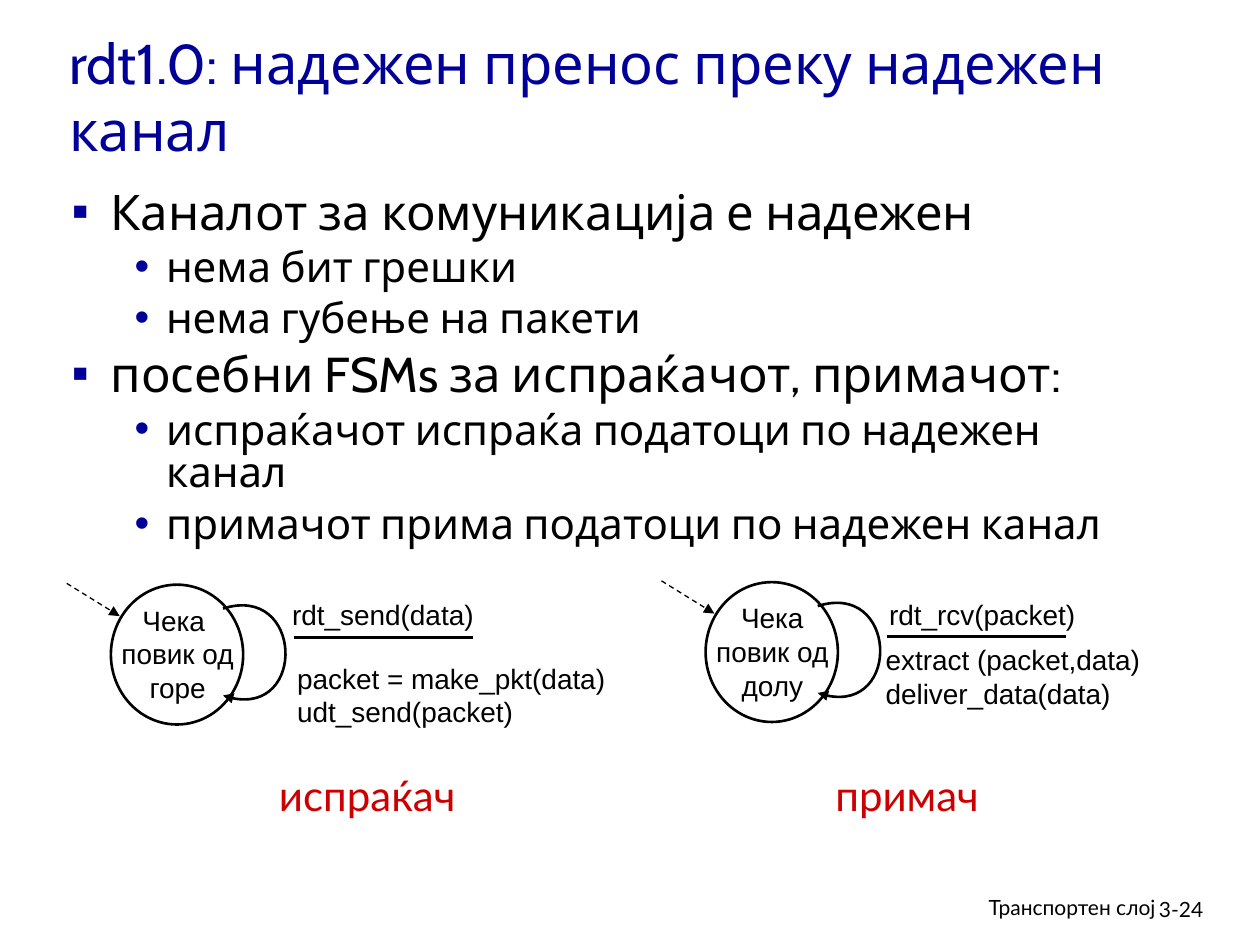
"""Build the rdt1.0 slide with its sender and receiver state machines."""
import lxml.etree
import pptx
import pptx.dml.color
import pptx.enum.dml
import pptx.enum.shapes
import pptx.enum.text
import pptx.oxml.ns
import pptx.util

PX = 9144
ALIGN = pptx.enum.text.PP_ALIGN
qn = pptx.oxml.ns.qn
colour = pptx.dml.color.RGBColor.from_string

presentation = pptx.Presentation()
presentation.slide_width = 1000 * PX
presentation.slide_height = 750 * PX
slide = presentation.slides.add_slide(presentation.slide_layouts[6])
shapes = slide.shapes

FORMATS = {
    "title": {"name": "Cabin", "size": 32, "colour": "000099"},
    "topic": {"name": "Cabin", "size": 28, "colour": "000000"},
    "detail": {"name": "Cabin", "size": 24, "colour": "000000"},
    "code": {"name": "Arial", "size": 16, "colour": "000000"},
    "role": {"name": "Lato", "size": 24, "colour": "CC0000"},
    "footer": {"name": "Lato", "size": 12, "colour": "000000"},
}
BULLETS = {"topic": ("▪", 31, -31, 0), "detail": ("•", 75, -25, 1)}


def add_text(box, lines, align=ALIGN.LEFT, wrap=True, anchor=pptx.enum.text.MSO_ANCHOR.TOP):
    """Add a text box whose lines are (format name, text) pairs."""
    frame = shapes.add_textbox(*(length * PX for length in box)).text_frame
    frame.word_wrap = wrap
    frame.vertical_anchor = anchor
    for index, (format_name, text) in enumerate(lines):
        paragraph = frame.add_paragraph() if index else frame.paragraphs[0]
        paragraph.alignment = align
        run = paragraph.add_run()
        run.text = text
        values = FORMATS[format_name]
        settings = {"name": values["name"], "size": pptx.util.Pt(values["size"])}
        for attribute, value in settings.items():
            setattr(run.font, attribute, value)
        run.font.color.rgb = colour(values["colour"])
        if format_name in BULLETS:
            character, margin, indent, level = BULLETS[format_name]
            spacing = {"level": level, "line_spacing": 0.85,
                       "space_before": pptx.util.Pt(values["size"] * 0.2)}
            for attribute, value in spacing.items():
                setattr(paragraph, attribute, value)
            properties = paragraph._p.get_or_add_pPr()
            properties.set("marL", str(margin * PX))
            properties.set("indent", str(indent * PX))
            bullet_colour = lxml.etree.SubElement(properties, qn("a:buClr"))
            lxml.etree.SubElement(bullet_colour, qn("a:srgbClr"), val="000099")
            lxml.etree.SubElement(properties, qn("a:buFont"), typeface="Arial")
            lxml.etree.SubElement(properties, qn("a:buChar"), char=character)


def style_line(shape, width=1.5, dashed=False, arrow=False):
    """Give a shape or connector a black line without shadow."""
    shape.line.color.rgb = colour("000000")
    shape.line.width = pptx.util.Pt(width)
    if dashed:
        shape.line.dash_style = pptx.enum.dml.MSO_LINE.DASH
    if arrow:
        lxml.etree.SubElement(shape.line._get_or_add_ln(), qn("a:tailEnd"), type="triangle")
    if hasattr(shape, "shadow"):
        shape.shadow.inherit = False
    else:
        lxml.etree.SubElement(shape._element.spPr, qn("a:effectLst"))


add_text((910, 707, 74, 30), [("footer", "3-24")])
add_text((45, 21, 920, 110), [("title", "rdt1.0: надежен пренос преку надежен канал")],
         anchor=pptx.enum.text.MSO_ANCHOR.MIDDLE)
add_text((47, 146, 864, 330), [
    ("topic", "Каналот за комуникација е надежен"),
    ("detail", "нема бит грешки"),
    ("detail", "нема губење на пакети"),
    ("topic", "посебни FSMs за испраќачот, примачот:"),
    ("detail", "испраќачот испраќа податоци по надежен канал"),
    ("detail", "примачот прима податоци по надежен канал"),
])

MACHINES = [
    {"left": 88, "top": 464, "state": ["Чека ", "повик од", "горе"], "rule": (233, 506),
     "event": "rdt_send(data)", "event_box": (222, 469, 247, 47), "event_align": ALIGN.LEFT,
     "actions": ["packet = make_pkt(data)", "udt_send(packet)"], "action_box": (226, 520, 293, 65),
     "role": "испраќач", "role_box": (210, 606, 163, 51)},
    {"left": 560, "top": 462, "state": ["Чека", "повик од долу"], "rule": (704, 505),
     "event": "rdt_rcv(packet)", "event_box": (695, 469, 169, 37), "event_align": ALIGN.CENTER,
     "actions": ["extract (packet,data)", "deliver_data(data)"], "action_box": (693, 505, 272, 47),
     "role": "примач", "role_box": (653, 606, 134, 51)},
]
for machine in MACHINES:
    left, top = machine["left"], machine["top"]
    circle = shapes.add_shape(pptx.enum.shapes.MSO_SHAPE.OVAL,
                              left * PX, top * PX, 105 * PX, 111 * PX)
    circle.fill.solid()
    circle.fill.fore_color.rgb = colour("FFFFFF")
    style_line(circle)
    add_text((left - 7, top + 10, 120, 100),
             [("code", text) for text in machine["state"]], ALIGN.CENTER)

    builder = shapes.build_freeform(left + 89, top + 19, scale=PX)
    builder.add_line_segments([(left + 152, top - 1), (left + 156, top + 111),
                               (left + 89, top + 88)], close=False)
    loop = builder.convert_to_shape()
    segments = list(loop._element.iter(qn("a:lnTo")))
    curve = lxml.etree.SubElement(segments[0].getparent(), qn("a:cubicBezTo"))
    for segment in segments:
        curve.append(segment[0])
        segment.getparent().remove(segment)
    loop.fill.background()
    style_line(loop, arrow=True)

    rule_x, rule_y = machine["rule"]
    for ends, style in [
        ((rule_x, rule_y, rule_x + 142, rule_y), {}),
        ((left - 35, top - 1, left + 7, top + 25), {"width": 0.75, "dashed": True, "arrow": True}),
    ]:
        connector = shapes.add_connector(pptx.enum.shapes.MSO_CONNECTOR.STRAIGHT,
                                         *(length * PX for length in ends))
        style_line(connector, **style)

    add_text(machine["action_box"], [("code", text) for text in machine["actions"]])
    add_text(machine["event_box"], [("code", machine["event"])], machine["event_align"],
             wrap=machine["event_align"] == ALIGN.LEFT)
    add_text(machine["role_box"], [("role", machine["role"])], ALIGN.CENTER, wrap=False)

add_text((610, 705, 317, 31), [("footer", "Транспортен слој")], ALIGN.RIGHT)
presentation.save("out.pptx")
